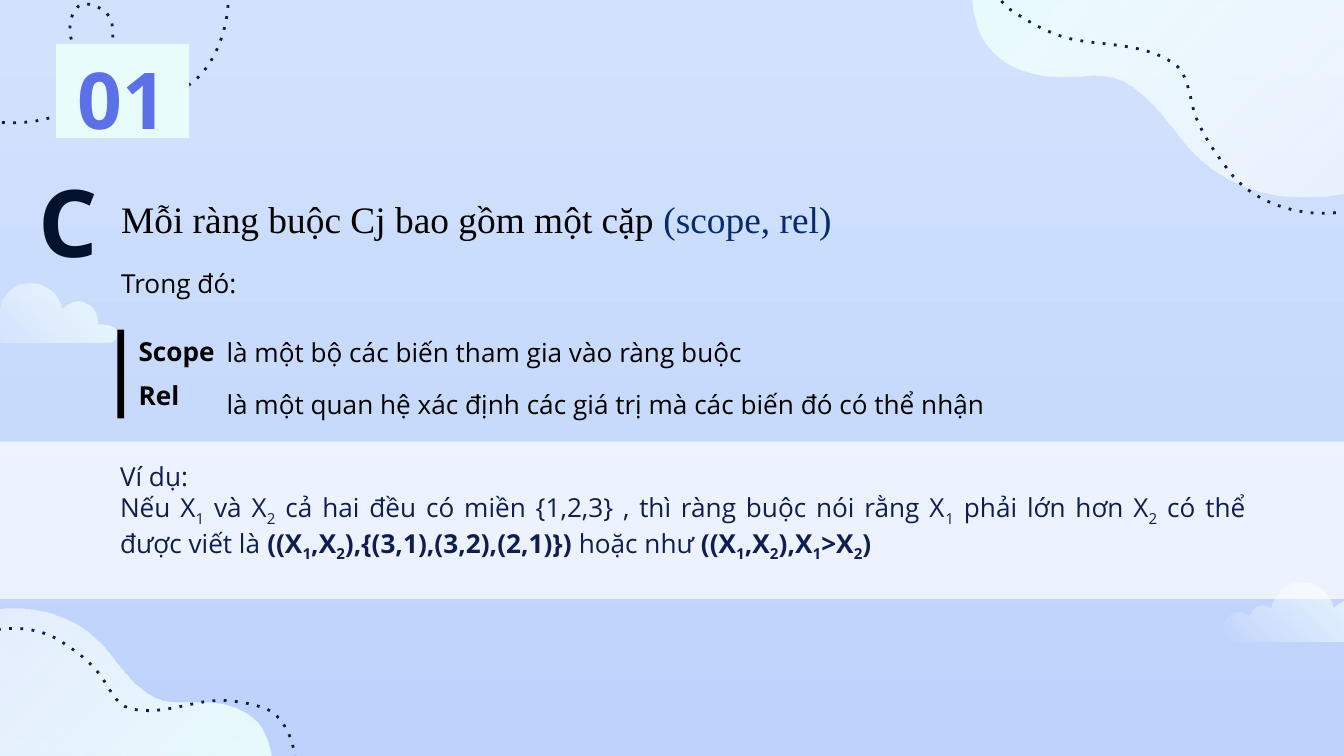
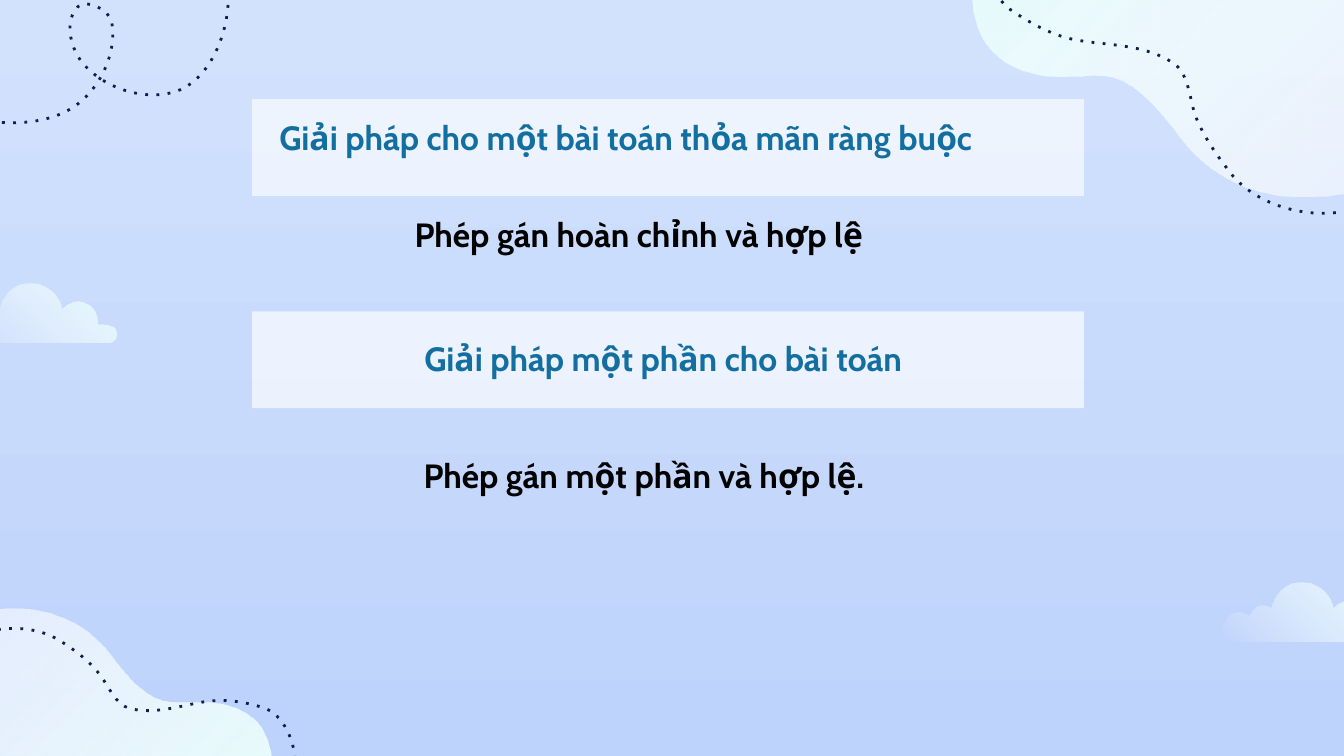
import pptx
import pptx.util
import pptx.dml.color
import pptx.enum.dml
import pptx.enum.shapes
import pptx.enum.text
import pptx.oxml
import pptx.oxml.ns
import lxml.etree

RGBColor = pptx.dml.color.RGBColor
SKY_TOP = RGBColor(0xD2, 0xE2, 0xFD)
SKY_BOTTOM = RGBColor(0xBE, 0xD3, 0xFC)
MINT = RGBColor(0xE9, 0xFC, 0xFC)
WHITE = RGBColor(0xFF, 0xFF, 0xFF)
BLACK = RGBColor(0, 0, 0)
NAVY = RGBColor(0x0F, 0x1E, 0x50)
INK = RGBColor(0x02, 0x12, 0x2C)
ROYAL = RGBColor(0x05, 0x2C, 0x6F)
VIOLET = RGBColor(0x5C, 0x71, 0xE8)
TEAL = RGBColor(0x14, 0x6F, 0xA1)

BODY_FONT = "Open Sans"
SERIF_FONT = "Times New Roman"
HEADING_FONT = "Cabin"
ALIGN = pptx.enum.text.PP_ALIGN
qn = pptx.oxml.ns.qn

presentation = pptx.Presentation()
presentation.slide_width = pptx.util.Inches(10)
presentation.slide_height = pptx.util.Inches(5.625)
# Square grid: 100 columns across, 56.25 rows down
UNIT = presentation.slide_width / 100


def add_panel(slide, box, color, opacity=100):
    """Add a borderless rectangle, placed in grid units."""
    panel = slide.shapes.add_shape(
        pptx.enum.shapes.MSO_SHAPE.RECTANGLE, *[round(v * UNIT) for v in box])
    panel.shadow.inherit = False
    panel.line.fill.background()
    panel.fill.solid()
    panel.fill.fore_color.rgb = color
    if opacity < 100:
        tint = next(panel.element.spPr.iter(qn("a:srgbClr")))
        lxml.etree.SubElement(tint, qn("a:alpha")).set("val", str(opacity * 1000))


def add_text(slide, box, text, size, font=BODY_FONT, color=BLACK, bold=False,
             align=None, spacing=None):
    """Add a wrapped one-paragraph text box and return its frame."""
    frame = slide.shapes.add_textbox(*[round(v * UNIT) for v in box]).text_frame
    frame.word_wrap = True
    frame.text = text
    paragraph = frame.paragraphs[0]
    paragraph.alignment = align
    paragraph.line_spacing = spacing
    run = paragraph.runs[0]
    run.font.size = pptx.util.Pt(size)
    run.font.name = font
    run.font.color.rgb = color
    run.font.bold = bold
    return frame


slide = presentation.slides.add_slide(presentation.slide_layouts[5])
master = presentation.slide_master

# Shared sky background
sky = master.background.fill
sky.gradient()
sky.gradient_angle = 270
sky.gradient_stops[0].color.rgb = SKY_TOP
sky.gradient_stops[1].color.rgb = SKY_BOTTOM

# Shared outlines, in tenths of a grid unit: two numbers draw a line, six a curve
cloud = [
    (23, 211), (42, 211, 46, 230, 46, 230), (46, 230, 51, 224, 58, 224),
    (60, 224, 63, 225, 66, 227), (73, 232, 72, 241, 72, 241),
    (72, 241, 73, 241, 73, 241),
    (76, 241, 84, 241, 86, 246), (88, 250, 84, 255, 80, 255), (-23, 255),
    (-26, 255, -30, 254, -32, 252), (-35, 250, -37, 246, -35, 241),
    (-32, 235, -28, 233, -24, 233), (-20, 233, -16, 236, -16, 236),
    (-16, 236, -14, 228, -7, 228), (-5, 228, -3, 228, 0, 230),
    (0, 230, 3, 211, 22, 211), (22, 211, 23, 211, 23, 211)]
right_cloud = [tuple(v + (946, 222.5)[i % 2] for i, v in enumerate(segment))
               for segment in cloud]
lower_hill = [
    (202, 579), (204, 552, 196, 528, 161, 523), (156, 522, 151, 522, 147, 522),
    (141, 522, 135, 522, 130, 522), (117, 522, 105, 518, 82, 487),
    (61, 459, 31, 453, 9, 453), (-8, 453, -20, 457, -20, 457), (-19, 579)]
upper_hill = [
    (724, -16), (721, 18, 732, 49, 776, 56), (783, 57, 789, 57, 794, 57),
    (802, 57, 810, 56, 816, 56), (833, 56, 848, 62, 878, 102),
    (905, 138, 943, 146, 971, 146), (993, 146, 1009, 141, 1009, 141), (1008, -16)]
lower_trail = [
    (216, 589), (226, 569, 216, 531, 194, 526), (181, 522, 167, 520, 153, 522),
    (134, 525, 115, 532, 96, 527), (86, 524, 81, 511, 75, 503),
    (67, 492, 56, 484, 45, 477), (22, 462, -17, 465, -36, 485)]
loop_trail = [
    (160, -36), (182, -7, 165, 57, 131, 68), (107, 76, 75, 65, 60, 45),
    (52, 34, 48, 15, 58, 5), (64, -1, 81, 7, 83, 16),
    (87, 35, 78, 58, 64, 72), (35, 102, -20, 91, -61, 80)]
upper_trail = [
    (752, -77), (732, -57, 729, -7, 753, 8), (768, 18, 784, 27, 802, 30),
    (826, 34, 852, 33, 873, 47), (884, 54, 885, 72, 889, 85),
    (895, 101, 905, 115, 915, 128), (936, 156, 985, 167, 1017, 152)]

# Outline, gradient angle (None for a dotted trail), opacity at the gradient's end
decorations = [
    (lower_hill, 135, 55), (lower_trail, None, None), (cloud, 225, 0),
    (loop_trail, None, None), (right_cloud, 225, 0), (upper_hill, 315, 55),
    (upper_trail, None, None)]
for number, (outline, angle, opacity) in enumerate(decorations):
    anchors = [(segment[-2] * 10, segment[-1] * 10) for segment in outline]
    builder = slide.shapes.build_freeform(*anchors[0], scale=UNIT / 100)
    builder.add_line_segments(anchors[1:], close=angle is not None)
    shape = builder.convert_to_shape()
    shape.shadow.inherit = False
    # Bend the straight segments into curves
    corner = [min(values) for values in zip(*anchors)]
    straights = list(shape.element.spPr.iter(qn("a:lnTo")))
    for straight, segment in zip(straights, outline[1:]):
        if len(segment) == 2:
            continue
        curve = lxml.etree.Element(qn("a:cubicBezTo"))
        for i in (0, 2, 4):
            point = lxml.etree.SubElement(curve, qn("a:pt"))
            point.set("x", str(round(segment[i] * 10 - corner[0])))
            point.set("y", str(round(segment[i + 1] * 10 - corner[1])))
        straight.getparent().replace(straight, curve)
    if angle is None:
        shape.fill.background()
        shape.line.color.rgb = NAVY
        shape.line.width = pptx.util.Pt(1.5)
        shape.line.dash_style = pptx.enum.dml.MSO_LINE.ROUND_DOT
        shape.element.spPr.find(qn("a:ln")).find(qn("a:prstDash")).set("val", "dot")
    else:
        shape.line.fill.background()
        shape.fill.gradient()
        shape.fill.gradient_angle = angle
        shape.fill.gradient_stops[0].color.rgb = MINT
        shape.fill.gradient_stops[1].color.rgb = WHITE
        end_color = list(shape.element.spPr.iter(qn("a:srgbClr")))[-1]
        lxml.etree.SubElement(end_color, qn("a:alpha")).set("val", str(opacity * 1000))
    # Hand the decoration over to the master
    shape.element.nvSpPr.cNvPr.set("id", str(100 + number))
    master.shapes.element.append(shape.element)

# Slide 1: section number
title = slide.shapes.title
title.left, title.top, title.width, title.height = [
    round(v * UNIT) for v in (4.17, 3.27, 9.9, 7)]
title.fill.solid()
title.fill.fore_color.rgb = MINT
frame = title.text_frame
frame.text = "01"
frame.auto_size = pptx.enum.text.MSO_AUTO_SIZE.NONE
frame.vertical_anchor = pptx.enum.text.MSO_ANCHOR.MIDDLE
frame.margin_left = frame.margin_right = pptx.util.Inches(0.1)
frame.margin_top = frame.margin_bottom = pptx.util.Inches(0.1)
paragraph = frame.paragraphs[0]
paragraph.alignment = ALIGN.CENTER
paragraph.line_spacing = 1.15
font = paragraph.runs[0].font
font.size = pptx.util.Pt(42)
font.name = BODY_FONT
font.bold = True
font.color.rgb = VIOLET

# Example band, behind the texts
add_panel(slide, (0, 32.87, 100, 11.7), WHITE, 70)

# Definition of a constraint
frame = add_text(slide, (8.03, 14.1, 59.7, 4.4), "Mỗi ràng buộc Cj bao gồm một cặp ",
                 20, SERIF_FONT)
pair = frame.paragraphs[0].add_run()
pair.text = "(scope, rel)"
pair.font.size = pptx.util.Pt(20)
pair.font.name = SERIF_FONT
pair.font.color.rgb = ROYAL
add_text(slide, (8.03, 19.4, 11.4, 3.4), "Trong đó:", 14)

# Terms and their meanings
terms = [
    ("Scope", 24.5, "là một bộ các biến tham gia vào ràng buộc", 24.2),
    ("Rel", 27.75, "là một quan hệ xác định các giá trị mà các biến đó có thể nhận", 28.05)]
for term, term_top, meaning, meaning_top in terms:
    add_text(slide, (9.33, term_top, 10.6, 3.4), term, 14, bold=True)
    add_text(slide, (15.87, meaning_top, 60.9, 3.5), meaning, 14, spacing=1.15)
add_panel(slide, (8.74, 24.54, 0.5, 6.6), BLACK)
add_text(slide, (1.9, 11.7, 6.1, 9.4), "C", 50, color=INK, bold=True)

# Example; an underscore marks the next character as a subscript
frame = add_text(slide, (7.95, 33.75, 85.7, 8.1), "Ví dụ:", 14, color=NAVY,
                 align=ALIGN.JUSTIFY)
paragraph = frame.add_paragraph()
paragraph.alignment = ALIGN.JUSTIFY
example = [
    ("Nếu X_1 và X_2 cả hai đều có miền {1,2,3} , thì ràng buộc nói rằng "
     "X_1 phải lớn hơn X_2 có thể được viết là ", False),
    ("((X_1,X_2),{(3,1),(3,2),(2,1)}) ", True),
    ("hoặc như ", False),
    ("((X_1,X_2),X_1>X_2)", True)]
for passage, bold in example:
    first, *rest = passage.split("_")
    pieces = [(first, False)]
    for piece in rest:
        pieces += [(piece[0], True), (piece[1:], False)]
    for text, subscript in pieces:
        run = paragraph.add_run()
        run.text = text
        run.font.size = pptx.util.Pt(14)
        run.font.name = BODY_FONT
        run.font.color.rgb = NAVY
        run.font.bold = bold
        if subscript:
            run._r.get_or_add_rPr().set("baseline", "-25000")

# Slide 2: full and partial solutions
slide = presentation.slides.add_slide(presentation.slide_layouts[6])
solutions = [
    (7.37, "Giải pháp cho một bài toán thỏa mãn ràng buộc", 8.2, None,
     "Phép gán hoàn chỉnh và hợp lệ", 29.87, 15.4),
    (23.17, "Giải pháp một phần cho bài toán", 24.65, ALIGN.CENTER,
     "Phép gán một phần và hợp lệ.", 30.53, 33.35)]
for panel_top, heading, heading_top, align, answer, answer_left, answer_top in solutions:
    add_panel(slide, (18.75, panel_top, 61.9, 7.2), WHITE, 65)
    add_text(slide, (19.8, heading_top, 59.1, 4), heading, 18, HEADING_FONT, TEAL,
             True, align)
    add_text(slide, (answer_left, answer_top, 39, 4), answer, 18, HEADING_FONT, bold=True)

presentation.save("out.pptx")
